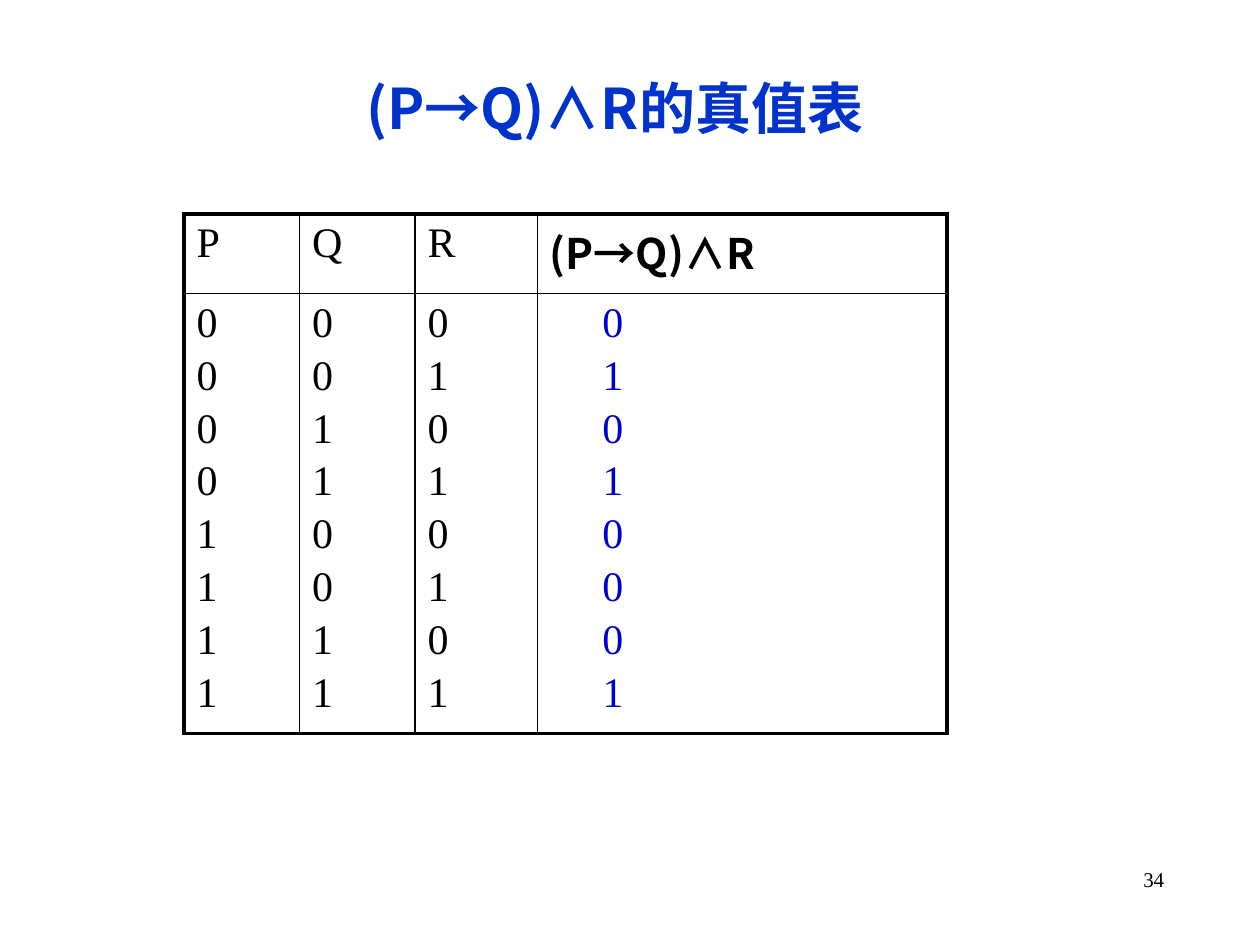
from lxml import etree
from pptx import Presentation
from pptx.dml.color import RGBColor
from pptx.enum import text
from pptx.oxml.ns import qn
from pptx.util import Pt

TITLE = "(P→Q)∧R的真值表"
PAGE = "34"
HEADERS = ["P", "Q", "R", "(P→Q)∧R"]
VALUES = ["00001111", "00110011", "01010101", "01010001"]

COLORS = {"title": "0033CC", "text": "000000", "result": "0000CC"}
SERIF, SANS = "Times New Roman", "Noto Sans CJK SC"
COLUMNS, ROWS = [66, 66, 70, 234], [45.3, 251.3]
THIN, THICK = 1, 2.25
LINE_GAP, RESULT_INDENT = 3.7, 37.2
TITLE_BOX = {"left": 54, "top": 49, "width": 594.7, "height": 31.7}
TABLE_BOX = {"left": 105.1, "top": 122.4, "width": sum(COLUMNS), "height": sum(ROWS)}
PAGE_BOX = {"left": 516.2, "top": 491.8, "width": 156.2, "height": 37.4}


def set_attrs(obj, values):
    for name, value in values.items():
        setattr(obj, name, value)


def in_points(box):
    return {name: Pt(value) for name, value in box.items()}


def add_text(p, content, size, font=SERIF, color="text", bold=False):
    r = p.add_run()
    r.text = content
    set_attrs(r.font, {"name": font, "size": Pt(size), "bold": bold})
    r.font.color.rgb = RGBColor.from_string(COLORS[color])
    etree.SubElement(r.font._element, qn("a:ea"), typeface=font)


def set_borders(cell, widths):
    tc_pr = cell._tc.get_or_add_tcPr()
    for side, width in widths.items():
        ln = etree.SubElement(tc_pr, qn(f"a:ln{side}"), w=str(Pt(width)))
        fill = etree.SubElement(ln, qn("a:solidFill"))
        etree.SubElement(fill, qn("a:srgbClr"), val=COLORS["text"])


def add_title(slide):
    sp = slide.shapes.title
    set_attrs(sp, in_points(TITLE_BOX))
    tf = sp.text_frame
    set_attrs(tf, {"margin_top": 0, "margin_bottom": 0, "word_wrap": True,
                   "auto_size": text.MSO_AUTO_SIZE.NONE,
                   "vertical_anchor": text.MSO_ANCHOR.BOTTOM})
    p = tf.paragraphs[0]
    p.alignment = text.PP_ALIGN.CENTER
    add_text(p, TITLE, 32, SANS, "title", True)


def add_truth_table(slide):
    table = slide.shapes.add_table(len(ROWS), len(COLUMNS), **in_points(TABLE_BOX)).table
    set_attrs(table, {"first_row": False, "horz_banding": False})
    for row, height in zip(table.rows, ROWS):
        row.height = Pt(height)
    last = len(COLUMNS) - 1
    for c, (width, header, values) in enumerate(zip(COLUMNS, HEADERS, VALUES)):
        table.columns[c].width = Pt(width)
        head, body = table.cell(0, c), table.cell(1, c)
        sides = {"L": THICK if c == 0 else THIN, "R": THICK if c == last else THIN}
        set_borders(head, {**sides, "T": THICK, "B": THIN})
        set_borders(body, {**sides, "T": THIN, "B": THICK})
        for cell in (head, body):
            cell.fill.background()
        is_result = c == last
        add_text(head.text_frame.paragraphs[0], header, 24,
                 SANS if is_result else SERIF, bold=is_result)
        if is_result:
            body.margin_left = Pt(RESULT_INDENT)
        tf = body.text_frame
        for i, value in enumerate(values):
            p = tf.add_paragraph() if i else tf.paragraphs[0]
            p.space_before = Pt(LINE_GAP if i else 0)
            add_text(p, value, 24, color="result" if is_result else "text")


def add_page_number(slide):
    tf = slide.shapes.add_textbox(**in_points(PAGE_BOX)).text_frame
    tf.word_wrap = True
    p = tf.paragraphs[0]
    p.alignment = text.PP_ALIGN.RIGHT
    add_text(p, PAGE, 12)


def main():
    """Build the truth table slide."""
    prs = Presentation()
    set_attrs(prs, {"slide_width": Pt(720), "slide_height": Pt(540)})
    slide = prs.slides.add_slide(prs.slide_layouts[5])
    add_title(slide)
    add_truth_table(slide)
    add_page_number(slide)
    prs.save("out.pptx")


if __name__ == "__main__":
    main()
